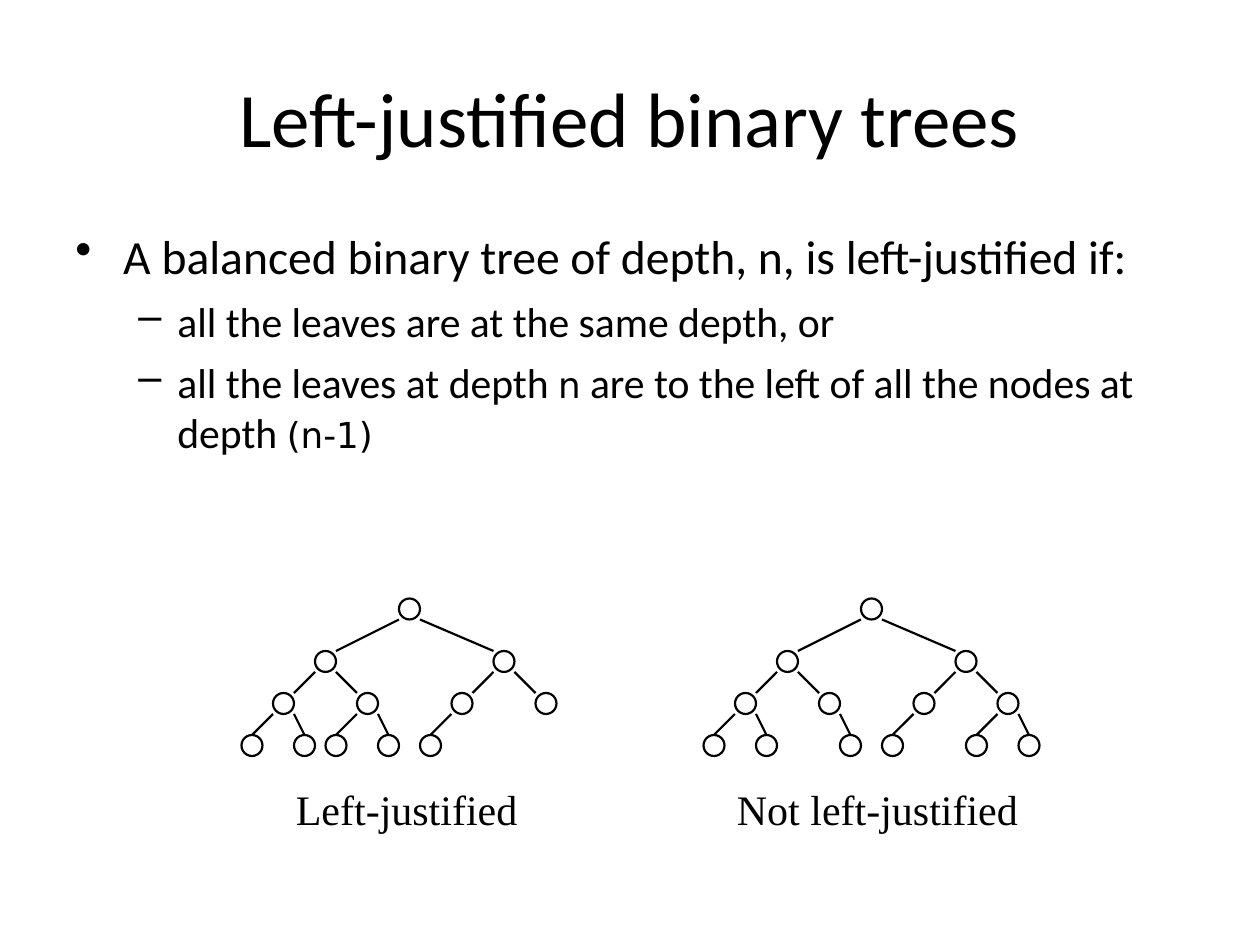
from dataclasses import dataclass

from lxml import etree
from pptx import Presentation
from pptx.dml.color import RGBColor
from pptx.enum import shapes, text
from pptx.oxml import ns
from pptx.util import Inches, Pt


@dataclass(frozen=True)
class Theme:
    """Colours, fonts and type sizes of the deck."""
    ink: RGBColor = RGBColor(0, 0, 0)
    main_font: str = "Calibri"
    math_font: str = "DejaVu Sans"
    caption_font: str = "Times New Roman"
    title_size: float = 44
    lead_size: float = 27.2
    point_size: float = 23.8
    math_size: float = 20.4
    caption_size: float = 24
    line_width: float = 1.25


THEME = Theme()
WIDTH, HEIGHT = Inches(10), Inches(7.5)
UNIT = WIDTH / 120
NODE = 2
TREE_ROWS = (0, 5, 9, 13)
CAPTION_ROW, CAPTION_ROWS = 17, 6

UPPER_NODES = {"": 15, "L": 7, "R": 24, "LL": 3, "LR": 11, "RL": 20, "RR": 28}
LEFT_JUSTIFIED = UPPER_NODES | {"LLL": 0, "LLR": 5, "LRL": 8, "LRR": 13, "RLL": 17}
NOT_LEFT_JUSTIFIED = UPPER_NODES | {
    "LLL": 0, "LLR": 5, "LRR": 13, "RLL": 17, "RRL": 25, "RRR": 30}

POINTS = (
    (0, "•", 0.38, 0.38, 0, THEME.lead_size,
     (("A balanced binary tree of depth, n, is left-justified if:", False),)),
    (1, "–", 0.81, 0.31, 7, THEME.point_size,
     (("all the leaves are at the same depth, or", False),)),
    (1, "–", 0.81, 0.31, 6, THEME.point_size,
     (("all the leaves at depth ", False), ("n", True),
      (" are to the left of all the nodes at depth ", False), ("(n-1)", True))),
)


def grid(*cells):
    """Turn grid units into lengths."""
    return [round(cell * UNIT) for cell in cells]


def style(font, name, size):
    """Set the face, size and colour of a font."""
    font.name, font.size = name, Pt(size)
    font.color.rgb = THEME.ink


def add_text_box(parent, box):
    """Add a wrapping text box and return its frame."""
    frame = parent.shapes.add_textbox(*grid(*box)).text_frame
    frame.word_wrap = True
    return frame


def add_bullet(para, mark, margin, hang):
    """Give a paragraph a hanging bullet."""
    props = para._p.get_or_add_pPr()
    props.set("marL", str(Inches(margin)))
    props.set("indent", str(-Inches(hang)))
    colour = etree.SubElement(props, ns.qn("a:buClr"))
    etree.SubElement(colour, ns.qn("a:srgbClr"), val=str(THEME.ink))
    etree.SubElement(props, ns.qn("a:buChar"), char=mark)


def add_title(page, box, wording):
    """Place the centred title."""
    frame = add_text_box(page, box)
    frame.vertical_anchor = text.MSO_ANCHOR.MIDDLE
    frame.text = wording
    para = frame.paragraphs[0]
    para.alignment = text.PP_ALIGN.CENTER
    style(para.runs[0].font, THEME.main_font, THEME.title_size)


def add_points(page, box, points):
    """Place the bulleted definition."""
    frame = add_text_box(page, box)
    for index, (level, mark, margin, hang, before, size, spans) in enumerate(points):
        para = frame.add_paragraph() if index else frame.paragraphs[0]
        para.level = level
        if before:
            para.space_before = Pt(before)
        add_bullet(para, mark, margin, hang)
        for wording, is_math in spans:
            span = para.add_run()
            span.text = wording
            if is_math:
                style(span.font, THEME.math_font, THEME.math_size)
            else:
                style(span.font, THEME.main_font, size)


def add_caption(group, box, wording):
    """Place the name of a tree."""
    frame = add_text_box(group, box)
    frame.auto_size = text.MSO_AUTO_SIZE.SHAPE_TO_FIT_TEXT
    frame.text = wording
    style(frame.paragraphs[0].runs[0].font, THEME.caption_font, THEME.caption_size)


def add_node(group, column, row):
    """Draw one round node."""
    node = group.shapes.add_shape(
        shapes.MSO_SHAPE.OVAL, *grid(column, row, NODE, NODE))
    node.shadow.inherit = False
    node.fill.background()
    node.line.color.rgb, node.line.width = THEME.ink, Pt(THEME.line_width)
    return node


def add_edge(group, child, parent, is_left, is_leaf):
    """Join a child to the lower corner of its parent."""
    start = child.left + (child.width if is_left else 0)
    end = parent.left + (0 if is_left else parent.width)
    edge = group.shapes.add_connector(
        shapes.MSO_CONNECTOR.STRAIGHT,
        start, child.top, end, parent.top + parent.height)
    if is_leaf:
        edge.begin_connect(child, 0)
    edge.line.color.rgb, edge.line.width = THEME.ink, Pt(THEME.line_width)
    etree.SubElement(edge._element.spPr, ns.qn("a:effectLst"))


def add_tree(page, corner, columns, caption, caption_column, caption_columns):
    """Draw a tree and its caption from a top left corner."""
    left, top = corner
    group = page.shapes.add_group_shape()
    add_caption(group, (left + caption_column, top + CAPTION_ROW,
                        caption_columns, CAPTION_ROWS), caption)
    nodes = {turns: add_node(group, left + column, top + TREE_ROWS[len(turns)])
             for turns, column in columns.items()}
    for turns, node in nodes.items():
        if turns:
            add_edge(group, node, nodes[turns[:-1]], turns[-1] == "L",
                     len(turns) == len(TREE_ROWS) - 1)


def main():
    """Build and save the deck."""
    deck = Presentation()
    deck.slide_width, deck.slide_height = WIDTH, HEIGHT
    page = deck.slides.add_slide(deck.slide_layouts[6])
    add_title(page, (6, 3.6, 108, 15), "Left-justified binary trees")
    add_points(page, (6, 21, 108, 26.2), POINTS)
    add_tree(page, (23, 57), LEFT_JUSTIFIED, "Left-justified", 4, 25)
    add_tree(page, (67, 57), NOT_LEFT_JUSTIFIED, "Not left-justified", 2, 32)
    deck.save("out.pptx")


if __name__ == "__main__":
    main()
